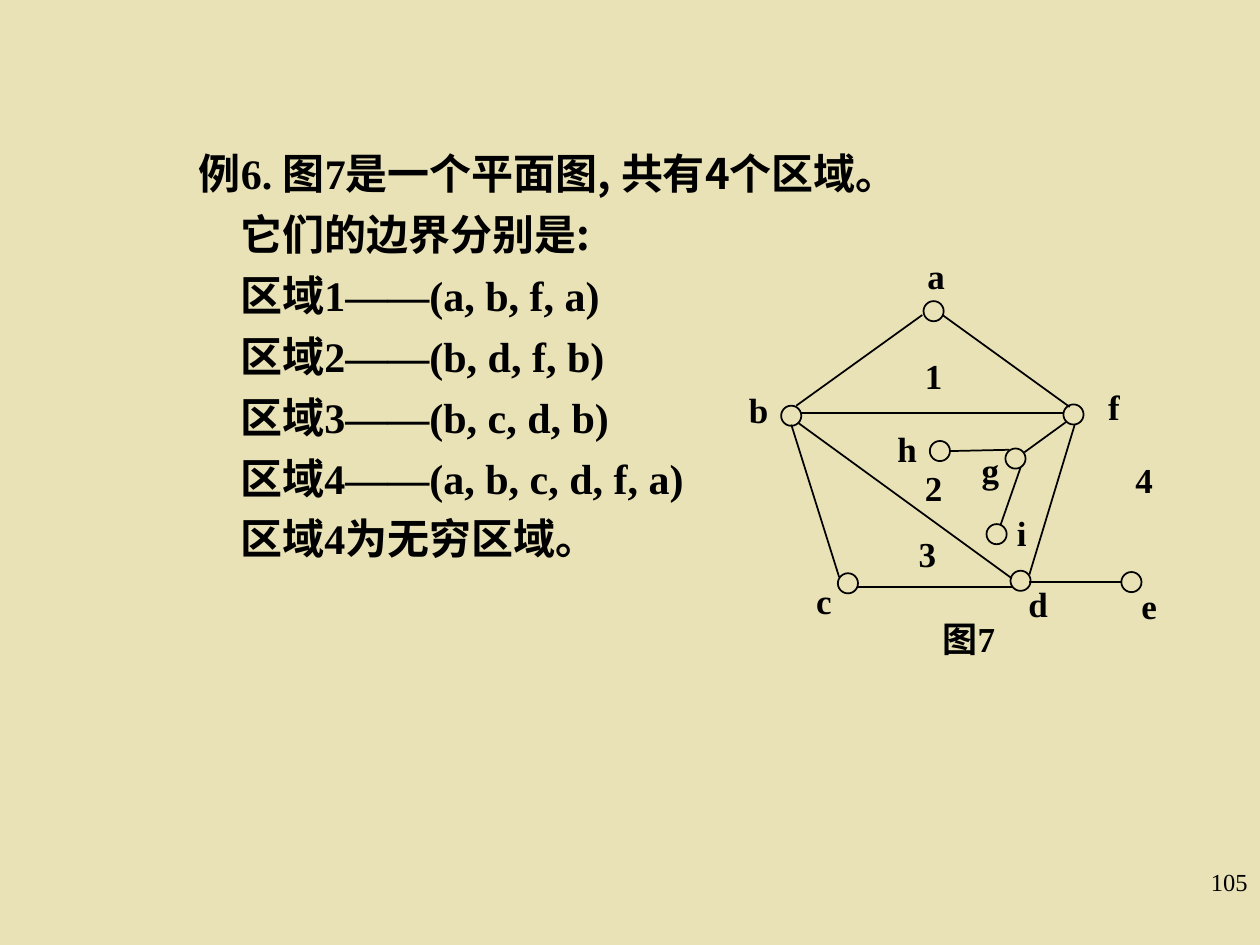
from lxml import etree
from pptx import Presentation
from pptx.dml.color import RGBColor
from pptx.enum.shapes import MSO_CONNECTOR, MSO_SHAPE
from pptx.enum.text import PP_ALIGN
from pptx.oxml.ns import qn
from pptx.util import Inches, Pt

OVAL = MSO_SHAPE.OVAL
STRAIGHT = MSO_CONNECTOR.STRAIGHT
LEFT, CENTER, RIGHT = PP_ALIGN.LEFT, PP_ALIGN.CENTER, PP_ALIGN.RIGHT

THEME = {
    "background": RGBColor.from_string("E9E2B6"),
    "ink": RGBColor.from_string("000000"),
    "serif": "Times New Roman",
    "sans": "Noto Sans CJK SC",
    "body": Pt(24),
    "label": Pt(20),
    "page": Pt(14),
    "stroke": Pt(1),
}
SERIF, SANS = THEME["serif"], THEME["sans"]

EXAMPLE = [
    [("例6. 图7是一个平面图", SERIF), (", ", SANS), ("共有", SERIF), ("4", SANS), ("个区域。", SERIF)],
    [("它们的边界分别是", SERIF), (":", SANS)],
    [("区域1——(a, b, f, a)", SERIF)],
    [("区域2——(b, d, f, b)", SERIF)],
    [("区域3——(b, c, d, b)", SERIF)],
    [("区域4——(a, b, c, d, f, a)", SERIF)],
    [("区域4为", SERIF), ("无穷", SANS), ("区", SERIF), ("域。", SANS)],
]
VERTICES = {
    "a": ((7.33, 2.39), (7.28, 2.02)),
    "b": ((6.2, 3.22), (5.87, 3.08)),
    "c": ((6.65, 4.55), (6.39, 4.6)),
    "d": ((8.02, 4.53), (8.09, 4.62)),
    "e": ((8.9, 4.54), (8.97, 4.64)),
    "f": ((8.44, 3.21), (8.69, 3.06)),
    "g": ((7.98, 3.56), (7.71, 3.56)),
    "h": ((7.38, 3.5), (7.05, 3.39)),
    "i": ((7.83, 4.16), (7.96, 4.06)),
}
EDGES = {
    "ab": (7.32, 2.5, 6.32, 3.22),
    "af": (7.48, 2.5, 8.49, 3.23),
    "fd": (8.53, 3.37, 8.17, 4.56),
    "cd": (6.81, 4.66, 8.03, 4.66),
    "bc": (6.28, 3.37, 6.66, 4.58),
    "bf": (6.36, 3.28, 8.44, 3.28),
    "bd": (6.34, 3.36, 8.03, 4.59),
    "de": (8.17, 4.62, 8.9, 4.62),
    "hg": (7.54, 3.58, 8.01, 3.57),
    "gi": (8.1, 3.71, 7.94, 4.17),
    "fg": (8.46, 3.35, 8.13, 3.59),
}
REGIONS = {"1": (7.26, 2.81), "2": (7.26, 3.7), "3": (7.21, 4.23), "4": (8.93, 3.64)}
CAPTION, CAPTION_AT = "图7", (7.05, 4.9)
PAGE = "105"
VERTEX_SIZE = 0.16
LABEL_WIDTH, CAPTION_WIDTH, LABEL_HEIGHT = 0.3, 1.28, 0.33


def add_text(shapes, box, lines, size, insets, align=LEFT, bold=True, paragraph_format=None):
    frame = shapes.add_textbox(*map(Inches, box)).text_frame
    frame.word_wrap = True
    for side, inset in zip(("left", "top", "right", "bottom"), insets):
        setattr(frame, f"margin_{side}", Inches(inset))
    for index, line in enumerate(lines):
        paragraph = frame.paragraphs[0] if index == 0 else frame.add_paragraph()
        paragraph.alignment = align
        for name, value in (paragraph_format or {}).items():
            setattr(paragraph, name, value)
        if index:
            paragraph.space_before = Pt(6)
            properties = paragraph._p.get_or_add_pPr()
            properties.set("marL", str(Inches(0.33)))
            properties.set("indent", "0")
        for words, typeface in line:
            run = paragraph.add_run()
            run.text = words
            for name, value in {"size": size, "bold": bold, "name": typeface}.items():
                setattr(run.font, name, value)
            run.font.color.rgb = THEME["ink"]
            etree.SubElement(run._r.get_or_add_rPr(), qn("a:ea")).set("typeface", SANS)


def add_label(shapes, words, position, width=LABEL_WIDTH):
    add_text(shapes, (*position, width, LABEL_HEIGHT), [[(words, SERIF)]],
             THEME["label"], (0, 0, 0, 0), CENTER)


def set_stroke(shape):
    shape.line.color.rgb = THEME["ink"]
    shape.line.width = THEME["stroke"]


def add_edge(shapes, ends):
    edge = shapes.add_connector(STRAIGHT, *map(Inches, ends))
    set_stroke(edge)
    etree.SubElement(edge._element.spPr, qn("a:effectLst"))


def add_vertex(shapes, position):
    vertex = shapes.add_shape(OVAL, *map(Inches, (*position, VERTEX_SIZE, VERTEX_SIZE)))
    vertex.shadow.inherit = False
    vertex.fill.background()
    set_stroke(vertex)


def main():
    deck = Presentation()
    deck.slide_width, deck.slide_height = Inches(10), Inches(7.5)
    slide = deck.slides.add_slide(deck.slide_layouts[6])
    slide.background.fill.solid()
    slide.background.fill.fore_color.rgb = THEME["background"]

    add_text(slide.shapes, (7.92, 6.83, 2.08, 0.5), [[(PAGE, SERIF)]], THEME["page"],
             (0.1, 0.05, 0.1, 0.05), RIGHT, bold=False)
    add_text(slide.shapes, (1.48, 1.08, 8.33, 6.08), EXAMPLE, THEME["body"],
             (0.1, 0.09, 0.1, 0.05), paragraph_format={"line_spacing": Pt(28.8)})

    graph = slide.shapes.add_group_shape().shapes
    for ends in EDGES.values():
        add_edge(graph, ends)
    for letter, (position, label_position) in VERTICES.items():
        add_vertex(graph, position)
        add_label(graph, letter, label_position)
    for number, position in REGIONS.items():
        add_label(graph, number, position)
    add_label(graph, CAPTION, CAPTION_AT, CAPTION_WIDTH)
    deck.save("out.pptx")


if __name__ == "__main__":
    main()
